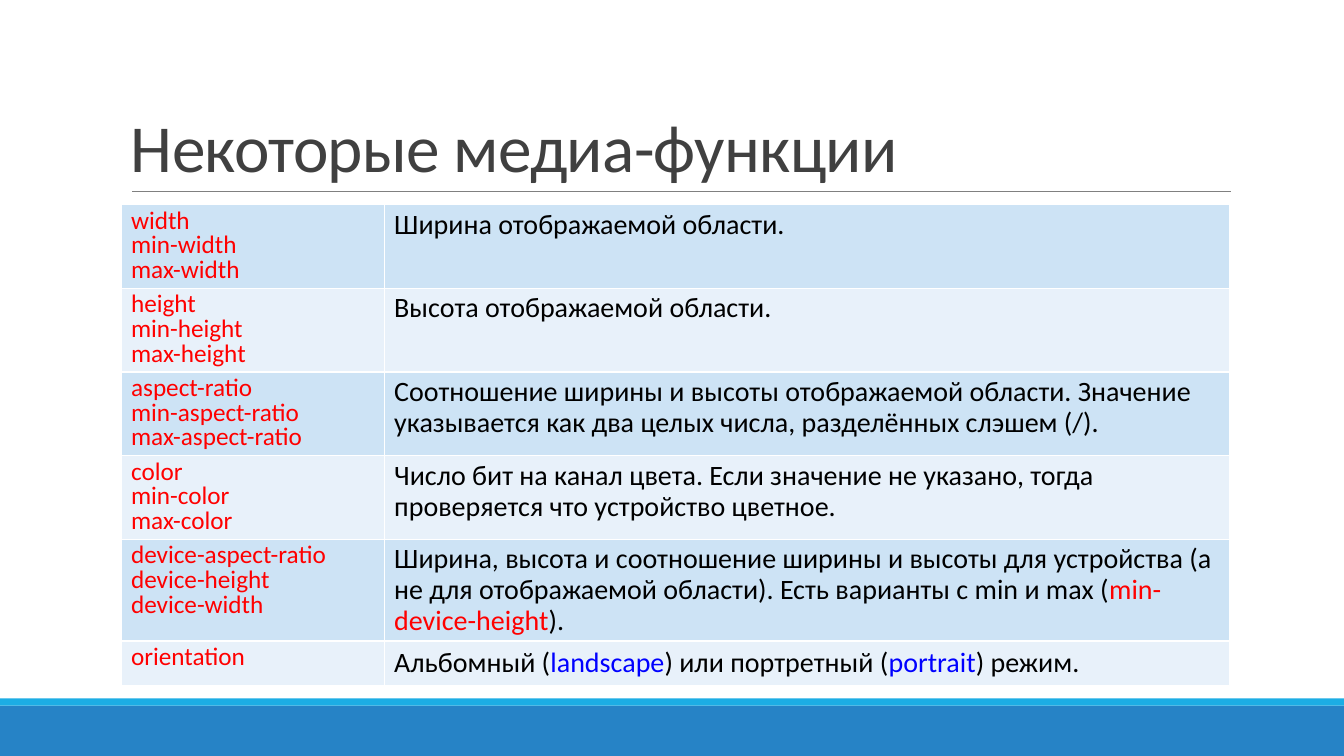
from lxml.etree import SubElement
from pptx import Presentation
from pptx.dml.color import RGBColor
from pptx.enum.shapes import MSO_CONNECTOR, MSO_SHAPE
from pptx.enum.text import MSO_ANCHOR
from pptx.oxml.ns import qn
from pptx.util import Inches, Pt

FONT = "Calibri"
BLACK = RGBColor(0, 0, 0)
RED = RGBColor(0xFF, 0, 0)
BLUE = RGBColor(0, 0, 0xFF)
GRAY = RGBColor(0x80, 0x80, 0x80)
TITLE_COLOR = RGBColor(0x40, 0x40, 0x40)
BAND_FILLS = [RGBColor(0xCD, 0xE3, 0xF5), RGBColor(0xE8, 0xF1, 0xFA)]

TITLE = "Некоторые медиа-функции"
# Features, row height, line spacing of the description, description runs
ROWS = [
    (["width", "min-width", "max-width"], 0.83, 0.9,
     [("Ширина отображаемой области.", BLACK)]),
    (["height", "min-height", "max-height"], 0.83, 0.9,
     [("Высота отображаемой области.", BLACK)]),
    (["aspect-ratio", "min-aspect-ratio", "max-aspect-ratio"], 0.83, 0.9,
     [("Соотношение ширины и высоты отображаемой области. Значение "
       "указывается как два целых числа, разделённых слэшем (/).", BLACK)]),
    (["color", "min-color", "max-color"], 0.83, 0.9,
     [("Число бит на канал цвета. Если значение не указано, тогда "
       "проверяется что устройство цветное.", BLACK)]),
    (["device-aspect-ratio", "device-height", "device-width"], 1.01, 0.9,
     [("Ширина, высота и соотношение ширины и высоты для устройства (а не "
       "для отображаемой области). Есть варианты с min и max (", BLACK),
      ("min-device-height", RED), (").", BLACK)]),
    (["orientation"], 0.44, 1.0,
     [("Альбомный (", BLACK), ("landscape", BLUE),
      (") или портретный (", BLACK), ("portrait", BLUE),
      (") режим.", BLACK)]),
]
COL_WIDTHS = [2.61, 8.39]
FOOTER_BANDS = [  # top, height, colour
    (7, 0.5, RGBColor(0x26, 0x83, 0xC6)),
    (6.93, 0.07, RGBColor(0x1C, 0xAD, 0xE4)),
]


def add_run(p, text, size, color):
    r = p.add_run()
    r.text = text
    r.font.name = FONT
    r.font.size = Pt(size)
    r.font.color.rgb = color
    return r


def fill_cell(cell, paragraphs, size, line_spacing, fill):
    """Write paragraphs of (text, colour) runs; add white borders and a fill."""
    tf = cell.text_frame
    for i, runs in enumerate(paragraphs):
        p = tf.add_paragraph() if i else tf.paragraphs[0]
        p.line_spacing = line_spacing
        for text, color in runs:
            add_run(p, text, size, color)
    tc_pr = cell._tc.get_or_add_tcPr()
    for side in ("lnL", "lnR", "lnT", "lnB"):
        ln = SubElement(tc_pr, qn(f"a:{side}"), w=str(Pt(1)))
        SubElement(SubElement(ln, qn("a:solidFill")), qn("a:srgbClr"), val="FFFFFF")
    cell.fill.solid()
    cell.fill.fore_color.rgb = fill


prs = Presentation()
prs.slide_width = Inches(13.33)
prs.slide_height = Inches(7.5)
s = prs.slides.add_slide(prs.slide_layouts[6])

for top, height, color in FOOTER_BANDS:
    sp = s.shapes.add_shape(MSO_SHAPE.RECTANGLE, 0, Inches(top),
                            prs.slide_width, Inches(height))
    sp.shadow.inherit = False
    sp.fill.solid()
    sp.fill.fore_color.rgb = color
    sp.line.fill.background()

rule = s.shapes.add_connector(MSO_CONNECTOR.STRAIGHT, Inches(1.31), Inches(1.9),
                              Inches(12.21), Inches(1.9))
rule.line.color.rgb = GRAY
rule.line.width = Pt(0.5)
SubElement(rule._element.spPr, qn("a:effectLst"))

tf = s.shapes.add_textbox(Inches(1.2), Inches(0.31), Inches(11), Inches(1.59)).text_frame
tf.word_wrap = True
tf.vertical_anchor = MSO_ANCHOR.BOTTOM
p = tf.paragraphs[0]
p.line_spacing = 0.85
r = add_run(p, TITLE, 48, TITLE_COLOR)
r.font._element.set("spc", "-50")

table = s.shapes.add_table(len(ROWS), len(COL_WIDTHS), Inches(1.2), Inches(2.03),
                           Inches(sum(COL_WIDTHS)),
                           Inches(sum(row[1] for row in ROWS))).table
for col, width in zip(table.columns, COL_WIDTHS):
    col.width = Inches(width)
for i, (features, height, spacing, description) in enumerate(ROWS):
    table.rows[i].height = Inches(height)
    fill = BAND_FILLS[i % 2]
    fill_cell(table.cell(i, 0), [[(name, RED)] for name in features], 18, 0.8, fill)
    fill_cell(table.cell(i, 1), [description], 20, spacing, fill)

prs.save("out.pptx")
